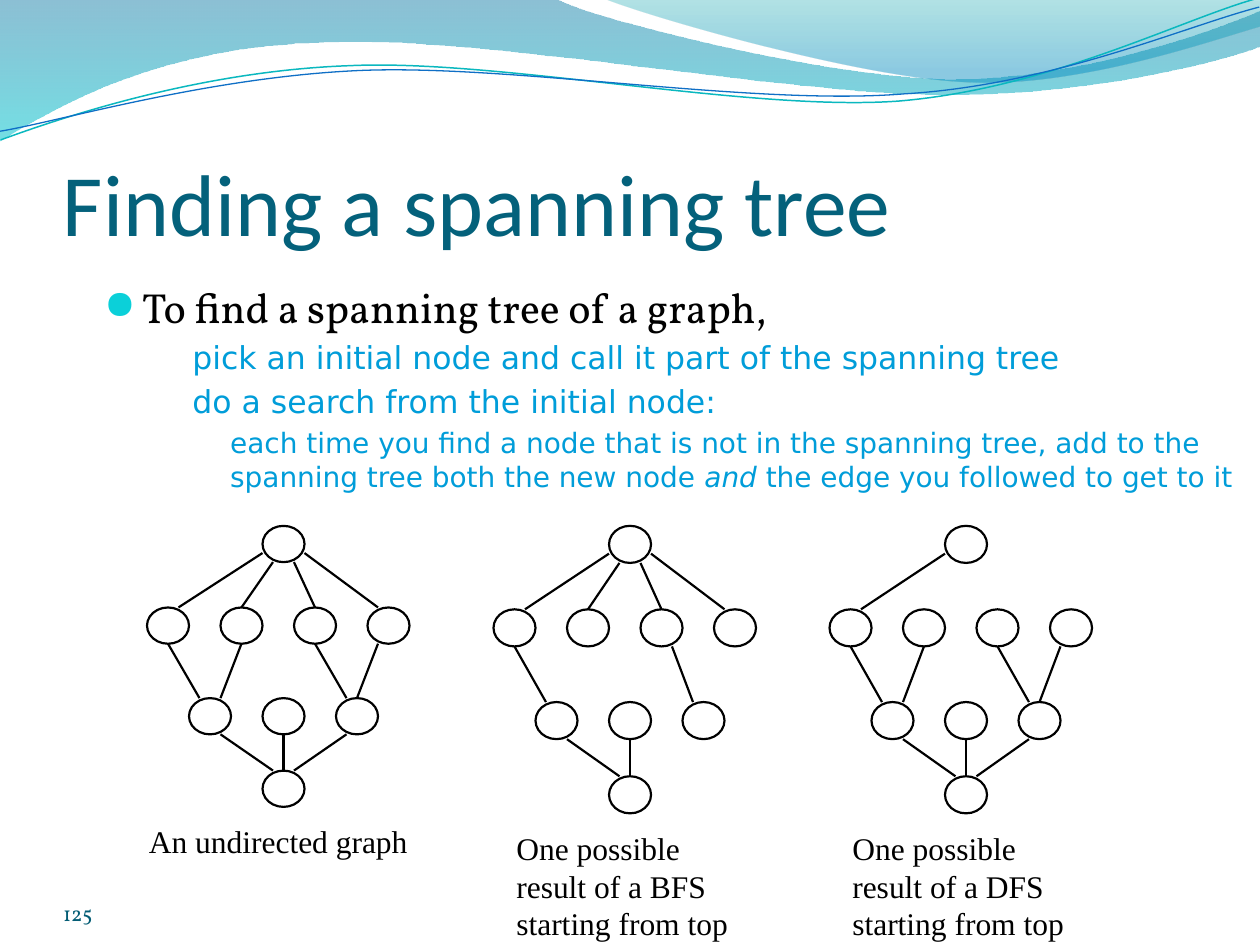
import math

from lxml import etree
from pptx import Presentation
from pptx.dml.color import RGBColor
from pptx.enum import shapes, text
from pptx.oxml import ns
from pptx.util import Pt

COLORS = {
    "title": "04617B", "number": "045D75", "ink": "000000",
    "detail": "009DD9", "bullet": "0BD0D9",
    "teal_line": "0AB8BF", "blue_line": "0F6FC6",
    "wave_top": "0074A1", "wave_bottom": "00C6CF",
    "crest_top": "00A1A9", "crest_bottom": "008BBF",
}

# Waves in inches: a start point, then lines (one point) and curves (three points)
BROAD_WAVE = [[(0, 0)], [(4.4, -0.01)],
              [(4.76, 0.17), (6.64, 0.63), (7.58, 0.63)],
              [(8.53, 0.63), (9.58, 0.26), (10, 0.09)], [(10.01, 0.36)],
              [(9.83, 0.44), (8.7, 0.76), (7.46, 0.75)],
              [(6.22, 0.75), (3.82, 0.28), (2.57, 0.34)],
              [(1.29, 0.36), (0.46, 0.83), (-0.01, 1.13)], [(0, 0)]]
CREST = [[(4.79, -0.01)], [(5.09, 0.11), (6.82, 0.62), (7.69, 0.65)],
         [(8.56, 0.69), (9.61, 0.32), (10, 0.21)], [(10, 0)], [(4.79, -0.01)]]
TEAL_CURVE = [[(0, 1.11)], [(0.48, 0.93), (1.58, 0.57), (2.77, 0.52)],
              [(3.95, 0.47), (5.93, 0.89), (7.13, 0.8)],
              [(8.33, 0.71), (9.38, 0.15), (9.98, -0.02)]]
BLUE_CURVE = [[(0, 1.04)], [(0.47, 0.96), (1.64, 0.61), (2.83, 0.56)],
              [(4.03, 0.51), (5.97, 0.84), (7.17, 0.75)],
              [(8.36, 0.67), (9.41, 0.21), (10, 0.06)]]
CURVE_TILT = -2.7

# Graph grid: columns are 6 pt wide, row height is set per graph
COLUMN = 6
NODES = [(11, 0), (0, 9), (7, 9), (14, 9), (21, 9),
         (4, 19), (11, 19), (18, 19), (11, 27)]
TOP_EDGES = [((11, 3), (3, 9)), ((12, 4), (9, 9)),
             ((14, 4), (16, 9)), ((15, 3), (22, 9))]
LEFT_EDGE = ((2, 13), (5, 19))
INNER_EDGES = [((9, 13), (7, 19)), ((16, 13), (19, 19)), ((22, 13), (20, 19))]
BASE_EDGES = [((7, 23), (12, 27)), ((13, 23), (13, 27))]
RIGHT_BASE_EDGE = ((19, 23), (14, 27))

FULL_EDGES = [*TOP_EDGES, LEFT_EDGE, *INNER_EDGES, *BASE_EDGES, RIGHT_BASE_EDGE]
BFS_EDGES = [*TOP_EDGES, LEFT_EDGE, ((17, 13), (19, 19)), *BASE_EDGES]
DFS_EDGES = [TOP_EDGES[0], LEFT_EDGE, *INNER_EDGES, *BASE_EDGES, RIGHT_BASE_EDGE]


def rgb(name):
    return RGBColor.from_string(COLORS[name])


def style(paragraph, face, size, color):
    paragraph.font.name = face
    paragraph.font.size = Pt(size)
    paragraph.font.color.rgb = rgb(color)


def add_text_frame(slide, left, top, width, height):
    frame = slide.shapes.add_textbox(Pt(left), Pt(top), Pt(width), Pt(height)).text_frame
    frame.word_wrap = True
    return frame


def turn(point, center, degrees):
    angle = math.radians(degrees)
    x, y = point[0] - center[0], point[1] - center[1]
    return (center[0] + x * math.cos(angle) - y * math.sin(angle),
            center[1] + x * math.sin(angle) + y * math.cos(angle))


def add_outline(slide, outline, close, tilt=0, center=(0, 0)):
    """Draw lines and cubic curves; a tilted outline is leveled, then rotated."""
    start, *rest = [turn((x * 72, y * 72), center, -tilt)
                    for segment in outline for x, y in segment]
    builder = slide.shapes.build_freeform(*start, scale=float(Pt(1)))
    builder.add_line_segments(rest, close=close)
    wave = builder.convert_to_shape()
    wave.shadow.inherit = False
    wave.rotation = tilt
    # Join each three-point segment into one curve
    legs = iter(list(wave._element.iter(ns.qn("a:lnTo"))))
    for segment in outline[1:]:
        points = [next(legs) for _ in segment]
        if len(points) == 3:
            curve = etree.Element(ns.qn("a:cubicBezTo"))
            points[0].addprevious(curve)
            for leg in points:
                curve.append(leg[0])
                leg.getparent().remove(leg)
    return wave


def add_waves(slide):
    # Filled waves: each stop is colour, position, opacity in percent
    for outline, stops in (
            (BROAD_WAVE, [("wave_top", 0, 45), ("wave_bottom", 1, 55)]),
            (CREST, [("crest_top", 0, 30), ("crest_bottom", 0.8, 45)])):
        wave = add_outline(slide, outline, True)
        wave.line.fill.background()
        wave.fill.gradient()
        wave.fill.gradient_angle = 270
        for stop, (color, position, _) in zip(wave.fill.gradient_stops, stops):
            stop.color.rgb = rgb(color)
            stop.position = position
        for tint, (_, _, opacity) in zip(wave._element.iter(ns.qn("a:srgbClr")), stops):
            etree.SubElement(tint, ns.qn("a:alpha"), val=str(opacity * 1000))
    # Thin curves
    for outline, color, weight, center in (
            (TEAL_CURVE, "teal_line", 0.85, (359.3, 41.4)),
            (BLUE_CURVE, "blue_line", 0.75, (359.6, 42.5))):
        curve = add_outline(slide, outline, False, CURVE_TILT, center)
        curve.fill.background()
        curve.line.color.rgb = rgb(color)
        curve.line.width = Pt(weight)


def add_bottom_line(slide, left, top, width, height, words, face, size, color, inset=0):
    frame = add_text_frame(slide, left, top, width, height)
    frame.margin_left = frame.margin_right = frame.margin_bottom = 0
    frame.margin_top = Pt(inset)
    frame.vertical_anchor = text.MSO_ANCHOR.BOTTOM
    frame.paragraphs[0].text = words
    style(frame.paragraphs[0], face, size, color)


def add_bullet(paragraph):
    properties = paragraph._p.get_or_add_pPr()
    color = etree.SubElement(properties, ns.qn("a:buClr"))
    etree.SubElement(color, ns.qn("a:srgbClr"), val=COLORS["bullet"])
    etree.SubElement(properties, ns.qn("a:buSzPct"), val="95000")
    etree.SubElement(properties, ns.qn("a:buFont"), typeface="OpenSymbol")
    etree.SubElement(properties, ns.qn("a:buChar"), char="●")


def add_steps(slide, left, top, width, height):
    frame = add_text_frame(slide, left, top, width, height)
    steps = [
        (0, ["To find a spanning tree of a graph,"]),
        (1, ["pick an initial node and call it part of the spanning tree"]),
        (1, ["do a search from the initial node:"]),
        (2, ["each time you find a node that is not in the spanning tree, "
             "add to the spanning tree both the new node ", "and",
             " the edge you followed to get to it"]),
    ]
    looks = [("Vollkorn", 24, "ink", 21.6, 0), ("DejaVu Sans", 18, "detail", 50.4, 3.4),
             ("DejaVu Sans", 16, "detail", 72, 3.4)]
    for index, (level, parts) in enumerate(steps):
        step = frame.add_paragraph() if index else frame.paragraphs[0]
        face, size, color, indent, gap = looks[level]
        step.level = level
        properties = step._p.get_or_add_pPr()
        properties.set("marL", str(Pt(indent)))
        properties.set("indent", str(0 if level else -Pt(indent)))
        step.space_before = Pt(gap)
        if level == 0:
            add_bullet(step)
        style(step, face, size, color)
        for part in parts:
            run = step.add_run()
            run.text = part
            if part == "and":
                run.font.italic = True


def add_graph(slide, left, top, row, edges, caption, caption_shift, caption_width):
    def place(column, line):
        return Pt(left + column * COLUMN), Pt(top + line * row)

    for corner in NODES:
        node = slide.shapes.add_shape(shapes.MSO_SHAPE.OVAL, *place(*corner),
                                      Pt(4 * COLUMN), Pt(4 * row))
        node.shadow.inherit = False
        node.fill.background()
        node.line.color.rgb = rgb("ink")
        node.line.width = Pt(1.25)
    for start, end in edges:
        edge = slide.shapes.add_connector(shapes.MSO_CONNECTOR.STRAIGHT,
                                          *place(*start), *place(*end))
        edge.line.color.rgb = rgb("ink")
        edge.line.width = Pt(1.25)
        etree.SubElement(edge._element.spPr, ns.qn("a:effectLst"))
    frame = add_text_frame(slide, left + caption_shift, top + 32 * row, caption_width,
                           64 if "\v" in caption else 25)
    frame.paragraphs[0].text = caption
    style(frame.paragraphs[0], "Times New Roman", 18, "ink")


def main():
    deck = Presentation()
    deck.slide_width, deck.slide_height = Pt(720), Pt(540)
    slide = deck.slides.add_slide(deck.slide_layouts[6])
    add_waves(slide)
    # Slide number and title
    add_bottom_line(slide, 36, 500, 168, 28.8, "125", "Vollkorn", 12, "number")
    add_bottom_line(slide, 36, 55, 648, 90, "Finding a spanning tree",
                    "Calibri", 50, "title", inset=3.6)
    add_steps(slide, 52.5, 157.5, 675.5, 191)
    # Graph and its two search trees
    add_graph(slide, 84, 300.5, 5.18, FULL_EDGES, "An undirected graph", -6, 180)
    for left, edges, search in ((282, BFS_EDGES, "BFS"), (474, DFS_EDGES, "DFS")):
        add_graph(slide, left, 300.5, 5.3, edges,
                  f"One possible result of a {search}\vstarting from top", 6, 144)
    deck.save("out.pptx")


if __name__ == "__main__":
    main()
